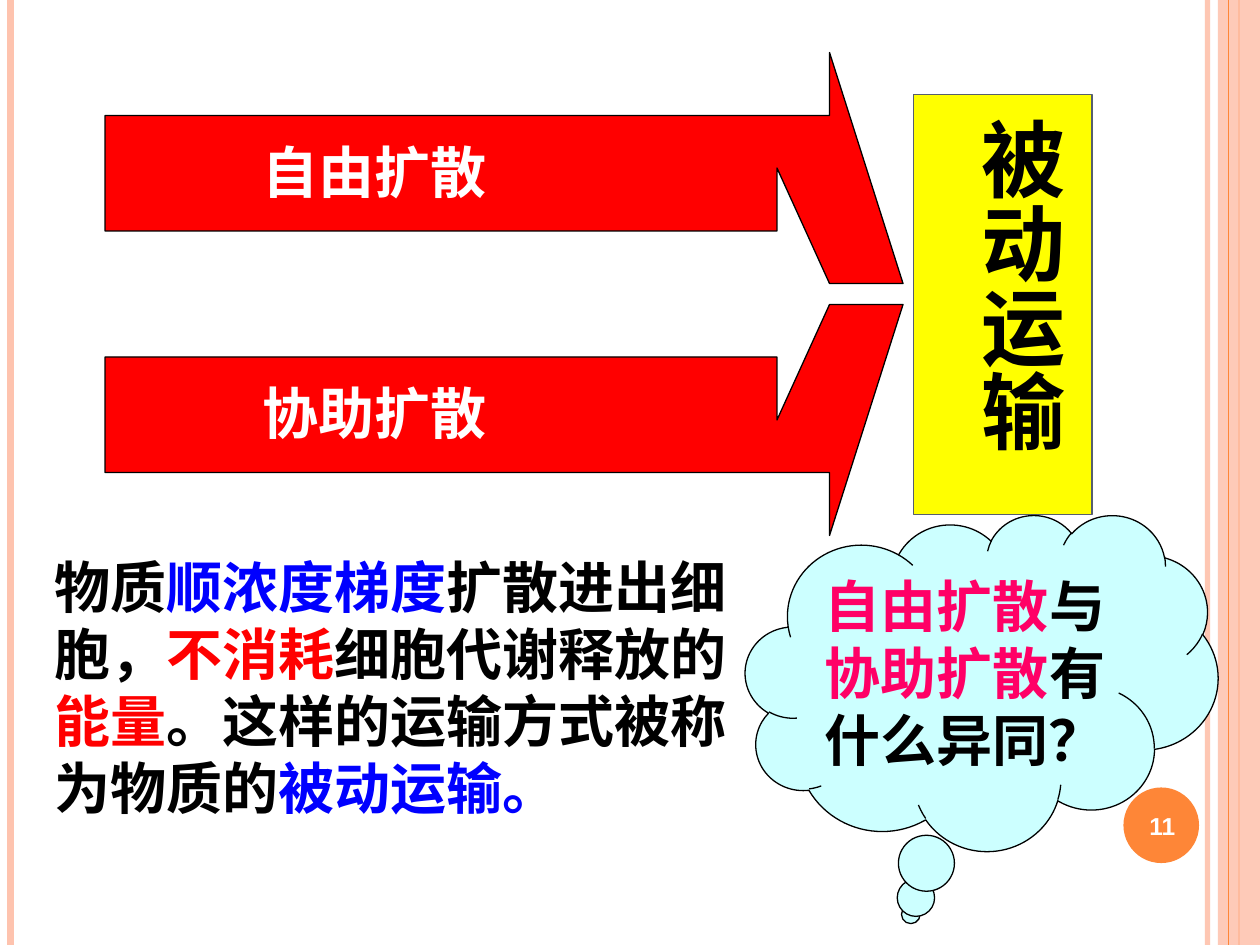
import pptx
import pptx.util
import pptx.dml.color
import pptx.enum.shapes
import pptx.enum.text
import pptx.oxml.ns
from dataclasses import dataclass
from lxml import etree
from typing import NamedTuple

RGBColor = pptx.dml.color.RGBColor
MSO_SHAPE = pptx.enum.shapes.MSO_SHAPE
ANCHOR = pptx.enum.text.MSO_ANCHOR
ALIGN = pptx.enum.text.PP_ALIGN
qn = pptx.oxml.ns.qn

BLACK = RGBColor(0x00, 0x00, 0x00)
WHITE = RGBColor(0xFF, 0xFF, 0xFF)
RED = RGBColor(0xFF, 0x00, 0x00)
BLUE = RGBColor(0x00, 0x00, 0xFF)
PINK = RGBColor(0xFF, 0x00, 0x66)
YELLOW = RGBColor(0xFF, 0xFF, 0x00)
SKY = RGBColor(0xCC, 0xFF, 0xFF)
SLATE = RGBColor(0x57, 0x5F, 0x6D)
ORANGE = RGBColor(0xFE, 0x86, 0x37)
PEACH = RGBColor(0xFE, 0xC3, 0xAE)

LATIN_FONT = "Arial"
CJK_FONT = "Noto Sans CJK JP"
COLUMNS, ROWS = 120, 90
CELL = pptx.util.Inches(10) / COLUMNS


class Area(NamedTuple):
    column: float
    row: float
    columns: float
    rows: float


class Span(NamedTuple):
    text: str
    color: RGBColor


class Stripe(NamedTuple):
    column: float
    color: RGBColor
    width: float
    opacity: int = 100


@dataclass
class Label:
    area: Area
    spans: list[Span]
    size: int = 32
    align: ALIGN = ALIGN.LEFT
    anchor: ANCHOR = ANCHOR.TOP
    inset: tuple[float, float] = (0.1, 0.05)
    vertical: bool = False


def cells(count: float) -> int:
    return round(count * CELL)


def place(area: Area) -> list[int]:
    return [cells(length) for length in area]


def set_opacity(properties, percent: int) -> None:
    if percent < 100:
        color = next(properties.iter(qn("a:srgbClr")))
        etree.SubElement(color, qn("a:alpha"), val=str(percent * 1000))


def paint(shape, fill: RGBColor, line: RGBColor | None = None) -> None:
    shape.shadow.inherit = False
    shape.fill.solid()
    shape.fill.fore_color.rgb = fill
    if line is None:
        shape.line.fill.background()
    else:
        shape.line.color.rgb = line
        shape.line.width = pptx.util.Pt(0.75)


def add_stripe(slide, stripe: Stripe) -> None:
    x = cells(stripe.column)
    line = slide.shapes.add_connector(
        pptx.enum.shapes.MSO_CONNECTOR.STRAIGHT, x, 0, x, cells(ROWS))
    line.line.color.rgb = stripe.color
    line.line.width = pptx.util.Pt(stripe.width)
    properties = line._element.spPr
    set_opacity(properties, stripe.opacity)
    etree.SubElement(properties, qn("a:effectLst"))


def add_panel(slide, kind: MSO_SHAPE, area: Area, fill: RGBColor,
              line: RGBColor | None = None):
    panel = slide.shapes.add_shape(kind, *place(area))
    paint(panel, fill, line)
    return panel


def add_arrow(slide, points: list[tuple[float, float]]) -> None:
    builder = slide.shapes.build_freeform(*points[0], scale=CELL)
    builder.add_line_segments(points[1:], close=True)
    paint(builder.convert_to_shape(), RED, BLACK)


def write(shape, label: Label) -> None:
    frame = shape.text_frame
    frame.word_wrap = True
    frame.vertical_anchor = label.anchor
    across, down = (pptx.util.Inches(inset) for inset in label.inset)
    frame.margin_left = frame.margin_right = across
    frame.margin_top = frame.margin_bottom = down
    if label.vertical:
        frame._txBody.bodyPr.set("vert", "eaVert")
    paragraph = frame.paragraphs[0]
    paragraph.alignment = label.align
    for span in label.spans:
        run = paragraph.add_run()
        run.text = span.text
        run.font.size = pptx.util.Pt(label.size)
        run.font.bold = True
        run.font.color.rgb = span.color
        run.font.name = LATIN_FONT
        etree.SubElement(run.font._element, qn("a:ea"), typeface=CJK_FONT)


def add_label(slide, label: Label) -> None:
    write(slide.shapes.add_textbox(*place(label.area)), label)


STRIPES_BELOW = [Stripe(115, PEACH, 3, 93), Stripe(1, PEACH, 4.5),
                 Stripe(118, ORANGE, 1.5)]
STRIPE_ABOVE = Stripe(117, ORANGE, 0.75)
LOWER_ARROW = [(10, 33.75), (10, 45.2), (78.6, 45.2), (78.6, 51), (86, 28.8),
               (78.6, 28.8), (74.5, 39.5), (74.5, 33.75)]
MIRROR_ROW = 28
UPPER_ARROW = [(column, 2 * MIRROR_ROW - row) for column, row in LOWER_ARROW]

LABELS = [
    Label(Area(106.7, 75.2, 8, 6.8), [Span("11", WHITE)], 14,
          ALIGN.CENTER, ANCHOR.MIDDLE),
    Label(Area(25, 13.1, 28, 6.4), [Span("自由扩散", WHITE)],
          anchor=ANCHOR.MIDDLE, inset=(0, 0)),
    Label(Area(25, 36, 26, 6.4), [Span("协助扩散", WHITE)],
          anchor=ANCHOR.MIDDLE, inset=(0, 0)),
    Label(Area(81, 10, 21.6, 37), [Span("被动运输", BLACK)], 48,
          ALIGN.CENTER, inset=(0.05, 0.1), vertical=True),
    Label(Area(4, 52, 71, 26.9), [
        Span("物质", BLACK), Span("顺浓度梯度", BLUE),
        Span("扩散进出细胞，", BLACK), Span("不消耗", RED),
        Span("细胞代谢释放的", BLACK), Span("能量", RED),
        Span("。这样的运输方式被称为物质的", BLACK),
        Span("被动运输。", BLUE)]),
]
QUESTION = Label(Area(71, 49, 45, 32), [
    Span("自由扩散", PINK), Span("与", BLACK),
    Span("协助扩散", PINK), Span("有什么异同？", BLACK)], align=ALIGN.CENTER)


def main() -> None:
    deck = pptx.Presentation()
    deck.slide_width, deck.slide_height = cells(COLUMNS), cells(ROWS)
    slide = deck.slides.add_slide(deck.slide_layouts[6])

    for stripe in STRIPES_BELOW:
        add_stripe(slide, stripe)
    band = add_panel(slide, MSO_SHAPE.RECTANGLE, Area(116, 0, 4, ROWS), PEACH)
    set_opacity(band._element.spPr, 87)
    add_stripe(slide, STRIPE_ABOVE)
    add_panel(slide, MSO_SHAPE.OVAL, Area(107, 75, 7.2, 7.2), ORANGE)

    for arrow in (LOWER_ARROW, UPPER_ARROW):
        add_arrow(slide, arrow)
    add_panel(slide, MSO_SHAPE.RECTANGLE, Area(87, 9, 17, 40), YELLOW, SLATE)
    for label in LABELS:
        add_label(slide, label)

    cloud = add_panel(slide, MSO_SHAPE.CLOUD_CALLOUT, QUESTION.area, SKY, BLACK)
    cloud.adjustments[0] = -0.15
    cloud.adjustments[1] = 0.69
    write(cloud, QUESTION)

    deck.save("out.pptx")


if __name__ == "__main__":
    main()
